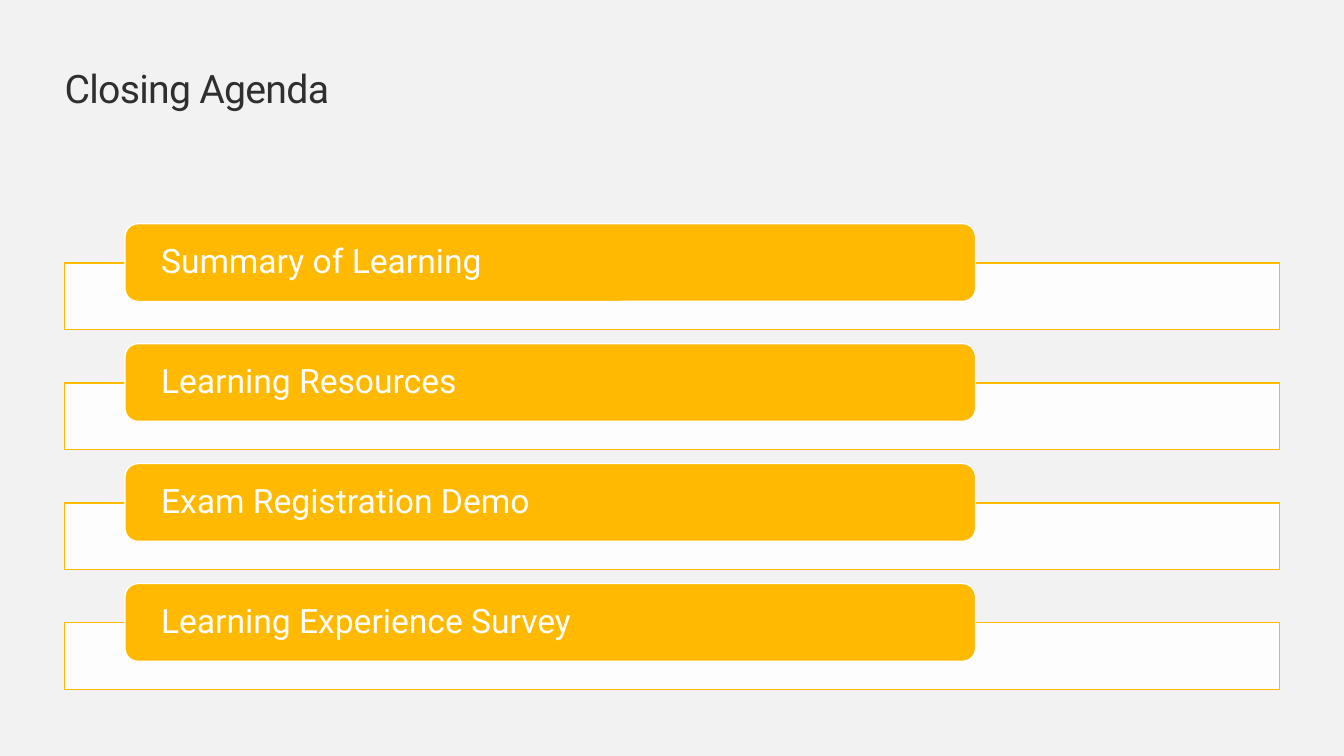
from dataclasses import dataclass

from lxml.etree import SubElement
from pptx import Presentation
from pptx.dml.color import RGBColor
from pptx.enum.shapes import MSO_SHAPE
from pptx.enum.text import MSO_ANCHOR, PP_ALIGN
from pptx.oxml.ns import qn
from pptx.util import Inches, Pt


@dataclass(frozen=True)
class Theme:
    font: str = "Roboto"
    background: str = "F2F2F2"
    ink: str = "2F2F2F"
    accent: str = "FFB900"
    white: str = "FFFFFF"
    title_size: float = 28
    item_size: float = 24
    line_width: float = 0.85


def write_text(sp, text, *, font, size, color, anchor=MSO_ANCHOR.TOP,
               inset=0, line_spacing=1.0, tracking=0):
    """Fill a shape with one left-aligned paragraph; tracking is in points."""
    tf = sp.text_frame
    tf.word_wrap = True
    tf.vertical_anchor = anchor
    tf.margin_left = tf.margin_right = Inches(inset)
    tf.margin_top = tf.margin_bottom = 0
    p = tf.paragraphs[0]
    p.alignment = PP_ALIGN.LEFT
    p.line_spacing = line_spacing
    r = p.add_run()
    r.text = text
    r.font.name = font
    r.font.size = Pt(size)
    r.font.color.rgb = RGBColor.from_string(color)
    if tracking:
        r.font._element.set("spc", str(round(tracking * 100)))


class SlideBuilder:
    def __init__(self, slide, theme):
        self.slide = slide
        self.theme = theme
        fill = slide.background.fill
        fill.solid()
        fill.fore_color.rgb = RGBColor.from_string(theme.background)

    def title(self, text, left, top, width, height):
        sp = self.slide.shapes.add_textbox(
            Inches(left), Inches(top), Inches(width), Inches(height))
        write_text(sp, text, font=self.theme.font, size=self.theme.title_size,
                   color=self.theme.ink, tracking=-0.5)

    def box(self, kind, left, top, width, height, fill, line, opacity=100):
        sp = self.slide.shapes.add_shape(
            kind, Inches(left), Inches(top), Inches(width), Inches(height))
        sp.shadow.inherit = False
        sp.fill.solid()
        sp.fill.fore_color.rgb = RGBColor.from_string(fill)
        sp.line.color.rgb = RGBColor.from_string(line)
        sp.line.width = Pt(self.theme.line_width)
        if opacity < 100:
            color = sp._element.spPr.find(qn("a:solidFill")).find(qn("a:srgbClr"))
            SubElement(color, qn("a:alpha")).set("val", str(opacity * 1000))
        return sp

    def agenda_item(self, text, left, top, width):
        """Draw a translucent strip with a labelled bar over its top edge."""
        t = self.theme
        self.box(MSO_SHAPE.RECTANGLE, left, top + 0.39, width, 0.66,
                 fill=t.white, line=t.accent, opacity=90)
        bar = self.box(MSO_SHAPE.ROUNDED_RECTANGLE, left + 0.6, top,
                       width * 0.7, 0.77, fill=t.accent, line=t.white)
        write_text(bar, text, font=t.font, size=t.item_size, color=t.white,
                   anchor=MSO_ANCHOR.MIDDLE, inset=0.32, line_spacing=0.9)


def main():
    prs = Presentation()
    prs.slide_width, prs.slide_height = Inches(13.33), Inches(7.5)
    s = SlideBuilder(prs.slides.add_slide(prs.slide_layouts[6]), Theme())
    left, width = 0.64, 12.05

    # Heading
    s.title("Closing Agenda", left, 0.64, width, 0.47)

    # Agenda, evenly spaced
    first_top, pitch = 2.22, 1.19
    items = ("Summary of Learning", "Learning Resources",
             "Exam Registration Demo", "Learning Experience Survey")
    for i, item in enumerate(items):
        s.agenda_item(item, left, first_top + i * pitch, width)

    prs.save("out.pptx")


if __name__ == "__main__":
    main()
